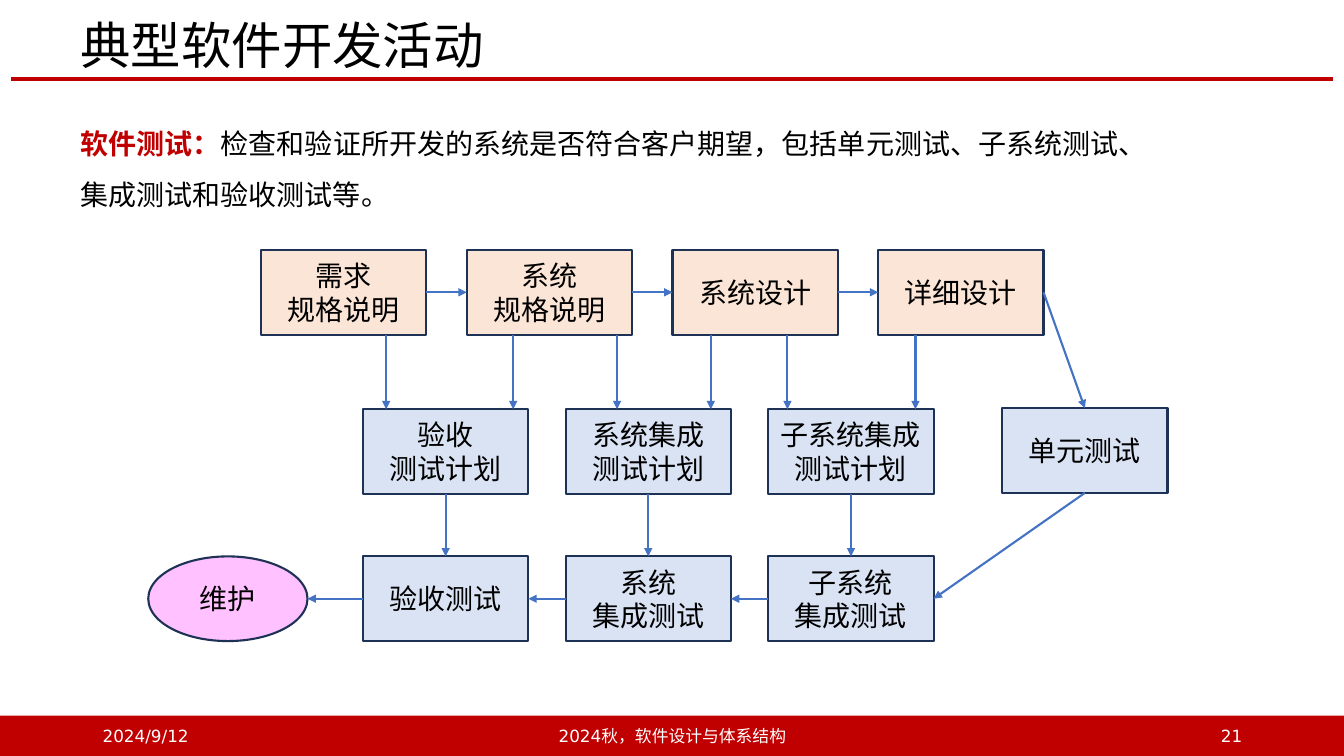
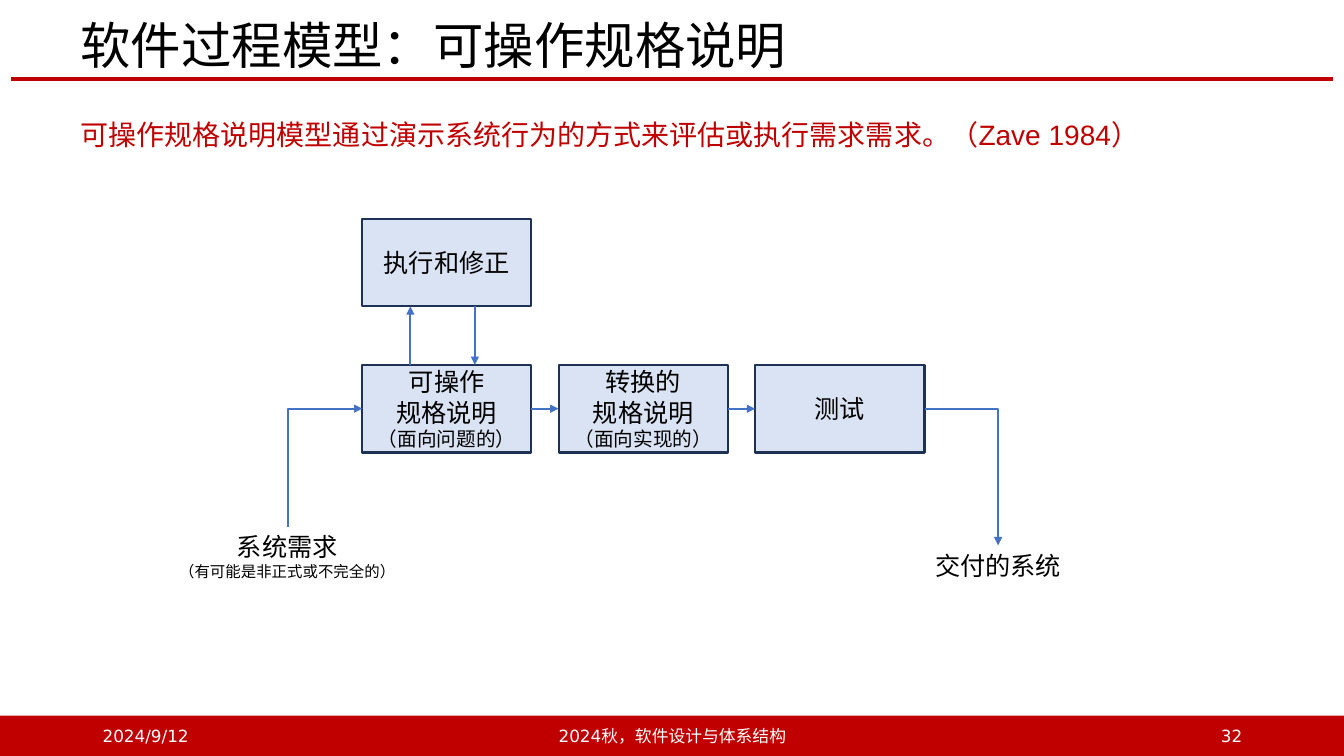
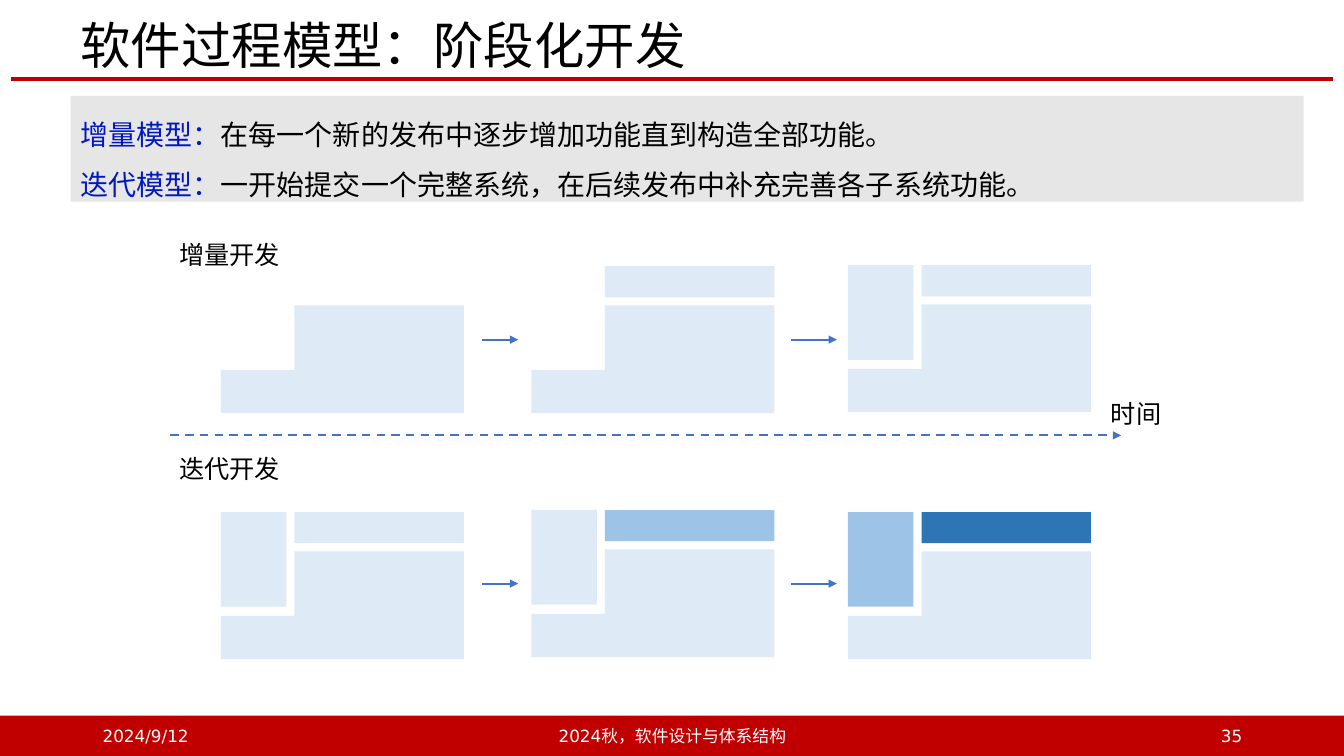
from lxml.etree import SubElement
from pptx import Presentation
from pptx.dml.color import RGBColor
from pptx.enum.dml import MSO_LINE_DASH_STYLE as DASH
from pptx.enum.shapes import MSO_CONNECTOR as CXN, MSO_SHAPE as SHAPE
from pptx.enum.text import MSO_ANCHOR as ANCHOR, PP_ALIGN as ALIGN
from pptx.oxml.ns import qn
from pptx.util import Inches, Pt

RED = RGBColor(0xC0, 0x00, 0x00)
BLACK = RGBColor(0x00, 0x00, 0x00)
WHITE = RGBColor(0xFF, 0xFF, 0xFF)
NAVY = RGBColor(0x1E, 0x32, 0x56)
ARROW = RGBColor(0x44, 0x72, 0xC4)
PEACH = RGBColor(0xFB, 0xE5, 0xD6)
ICE = RGBColor(0xDA, 0xE3, 0xF3)
PINK = RGBColor(0xFF, 0x85, 0xFF)
GRAY = RGBColor(0xE7, 0xE6, 0xE6)
TERM = RGBColor(0x00, 0x18, 0xC0)
PALE = RGBColor(0xDE, 0xEB, 0xF7)
MID = RGBColor(0x9D, 0xC3, 0xE6)
DEEP = RGBColor(0x2E, 0x75, 0xB6)
W, H = 13.33, 7.5


def box(s, at, lines=(), size=20, font="DejaVu Sans", color=BLACK, fill=None, line=None,
        align=ALIGN.CENTER, anchor=ANCHOR.MIDDLE, spacing=None, shape=SHAPE.RECTANGLE):
    at = [Inches(v) for v in at]
    if fill is None:
        sp = s.shapes.add_textbox(*at)
    else:
        sp = s.shapes.add_shape(shape, *at)
        sp.shadow.inherit = False
        sp.fill.solid()
        sp.fill.fore_color.rgb = fill
        if line is None:
            sp.line.fill.background()
        else:
            sp.line.color.rgb = line
            sp.line.width = Pt(1.5)
    tf = sp.text_frame
    tf.word_wrap = True
    tf.vertical_anchor = anchor
    for i, runs in enumerate(lines):
        p = tf.add_paragraph() if i else tf.paragraphs[0]
        p.alignment = align
        p.line_spacing = spacing
        for text, own in [(runs, {})] if isinstance(runs, str) else runs:
            r = p.add_run()
            r.text = text
            fmt = {"size": size, "name": font, "bold": False, "color": color, **own}
            r.font.color.rgb = fmt.pop("color")
            fmt["size"] = Pt(fmt["size"])
            for key, value in fmt.items():
                setattr(r.font, key, value)
            SubElement(r.font._element, qn("a:ea"), typeface=fmt["name"])
    return sp


def connect(s, ends=(0, 0, 0, 0), begin=None, end=None, kind=CXN.STRAIGHT,
            color=ARROW, width=1.5, dash=None, head=True):
    c = s.shapes.add_connector(kind, *[Inches(v) for v in ends])
    c.line.color.rgb = color
    c.line.width = Pt(width)
    if dash:
        c.line.dash_style = dash
    if head:
        SubElement(c.line._get_or_add_ln(), qn("a:tailEnd"), type="triangle")
    SubElement(c._element.spPr, qn("a:effectLst"))
    if begin:
        c.begin_connect(*begin)
    if end:
        c.end_connect(*end)
    return c


prs = Presentation()
prs.slide_width, prs.slide_height = Inches(W), Inches(H)
slides = []
for title, number in [("典型软件开发活动", "21"),
                      ("软件过程模型：可操作规格说明", "32"),
                      ("软件过程模型：阶段化开发", "35")]:
    s = prs.slides.add_slide(prs.slide_layouts[6])
    connect(s, (0.11, 0.78, W - 0.11, 0.78), color=RED, width=3, head=False)
    box(s, (0, H - 0.4, W, 0.4), fill=RED)
    box(s, (0.7, 0.18, 11.71, 0.6), [title], 36, "Noto Sans CJK SC", align=ALIGN.LEFT, spacing=0.9)
    for x, w, text, align in [(0.92, 3, "2024/9/12", ALIGN.LEFT),
                              (4.42, 4.5, "2024秋，软件设计与体系结构", ALIGN.CENTER),
                              (9.42, 3, number, ALIGN.RIGHT)]:
        box(s, (x, H - 0.4, w, 0.4), [text], 12, color=WHITE, align=align)
    slides.append(s)
body = {"font": "Arial", "align": ALIGN.LEFT, "anchor": ANCHOR.TOP, "spacing": 1.5}

s = slides[0]
box(s, (0.7, 1.04, 11.71, 1.05), [
    [("软件测试：", {"name": "DejaVu Sans", "bold": True, "color": RED}),
     ("检查和验证所开发的系统是否符合客户期望，包括单元测试、子系统测试、", {})],
    "集成测试和验收测试等。"], **body)
bw, bh = 1.64, 0.84
spec_y, plan_y, test_y = 2.48, 4.06, 5.52
rows = []
for x0, step, y, fill, labels in [
        (2.59, 2.04, spec_y, PEACH, [["需求", "规格说明"], ["系统", "规格说明"], ["系统设计"], ["详细设计"]]),
        (3.6, 2.01, plan_y, ICE, [["验收", "测试计划"], ["系统集成", "测试计划"], ["子系统集成", "测试计划"]]),
        (3.6, 2.01, test_y, ICE, [["验收测试"], ["系统", "集成测试"], ["子系统", "集成测试"]])]:
    rows.append([box(s, (x0 + i * step, y, bw, bh), text, fill=fill, line=NAVY)
                 for i, text in enumerate(labels)])
specs, plans, tests = rows
unit = box(s, (9.94, 4.05, bw, bh), ["单元测试"], fill=ICE, line=NAVY)
upkeep = box(s, (1.47, test_y, 1.58, bh), ["维护"], fill=PINK, line=NAVY, shape=SHAPE.OVAL)
SubElement(upkeep.fill._xPr.find(qn("a:solidFill"))[0], qn("a:alpha"), val="50000")
for a, b in zip(specs, specs[1:]):
    connect(s, begin=(a, 3), end=(b, 1))
for x in (3.83, 5.09, 6.12, 7.05, 7.81, 9.08):
    connect(s, (x, spec_y + bh, x, plan_y))
connect(s, begin=(specs[-1], 3), end=(unit, 0))
connect(s, begin=(unit, 2), end=(tests[-1], 3))
for a, b in zip(tests[1:], tests):
    connect(s, begin=(a, 1), end=(b, 3))
for a, b in zip(plans, tests):
    connect(s, begin=(a, 2), end=(b, 0))
connect(s, (3.6, test_y + bh / 2, 3.05, test_y + bh / 2), begin=(tests[0], 1))

s = slides[1]
box(s, (0.7, 0.95, 11.71, 0.55),
    ["可操作规格说明模型通过演示系统行为的方式来评估或执行需求需求。（Zave 1984）"],
    color=RED, **body)
x0, step, y, bw, bh = 3.59, 1.95, 3.62, 1.68, 0.87
steps = [box(s, (x0 + i * step, y, bw, bh), text, 18, fill=ICE, line=NAVY)
         for i, text in enumerate([
             ["可操作", "规格说明", [("（面向问题的）", {"size": 14})]],
             ["转换的", "规格说明", [("（面向实现的）", {"size": 14})]],
             ["测试"]])]
box(s, (x0, 2.17, bw, bh), ["执行和修正"], 18, fill=ICE, line=NAVY)
need = box(s, (1.62, 5.22, 2.46, 0.59),
           ["系统需求", [("（有可能是非正式或不完全的）", {"size": 11})]], 18)
result = box(s, (9.12, 5.41, 1.56, 0.4), ["交付的系统"], 18)
for a, b in zip(steps, steps[1:]):
    connect(s, begin=(a, 3), end=(b, 1))
connect(s, (4.07, y, 4.07, 2.17 + bh))
connect(s, (4.71, 2.17 + bh, 4.71, y))
rise = connect(s, begin=(need, 0), end=(steps[0], 1), kind=CXN.ELBOW)
fall = connect(s, begin=(steps[-1], 3), end=(result, 0), kind=CXN.ELBOW)
for c in (rise, fall):
    c._element.spPr.find(qn("a:prstGeom")).set("prst", "bentConnector2")
for key, value in {"left": 2.64, "top": 4.27, "width": 1.17, "height": 0.74}.items():
    setattr(rise, key, Inches(value))
for key, value in {"rot": "5400000", "flipH": "1", "flipV": "1"}.items():
    rise._element.spPr.find(qn("a:xfrm")).set(key, value)

s = slides[2]
box(s, (0.7, 0.95, 12.23, 1.05), [
    [("增量模型：", {"color": TERM}), ("在每一个新的发布中逐步增加功能直到构造全部功能。", {})],
    [("迭代模型：", {"color": TERM}), ("一开始提交一个完整系统，在后续发布中补充完善各子系统功能。", {})]],
    fill=GRAY, **body)
for x, y, w, text in [(1.68, 2.32, 1.3, "增量开发"), (1.68, 4.45, 1.3, "迭代开发"),
                      (10.92, 3.9, 0.8, "时间")]:
    box(s, (x, y, w, 0.4), [text], 18, align=ALIGN.LEFT)
connect(s, (1.69, 4.32, 11.12, 4.32), dash=DASH.DASH)
parts = [(0.73, 0.39, 1.68, 0.64), (0, 1.03, 2.41, 0.43),
         (0.73, 0, 1.68, 0.31), (0, 0, 0.65, 0.94)]
for x, y, fills in [(2.19, 2.64, [PALE, PALE]),
                    (5.27, 2.64, [PALE, PALE, PALE]),
                    (8.41, 2.63, [PALE, PALE, PALE, PALE]),
                    (2.19, 5.08, [PALE, PALE, PALE, PALE]),
                    (5.27, 5.06, [PALE, PALE, MID, PALE]),
                    (8.41, 5.08, [PALE, PALE, DEEP, MID])]:
    for (dx, dy, w, h), fill in zip(parts, fills):
        box(s, (x + dx, y + dy, w, h), fill=fill)
for y in (3.37, 5.79):
    for x1, x2 in [(4.78, 5.14), (7.85, 8.3)]:
        connect(s, (x1, y, x2, y))

prs.save("out.pptx")
